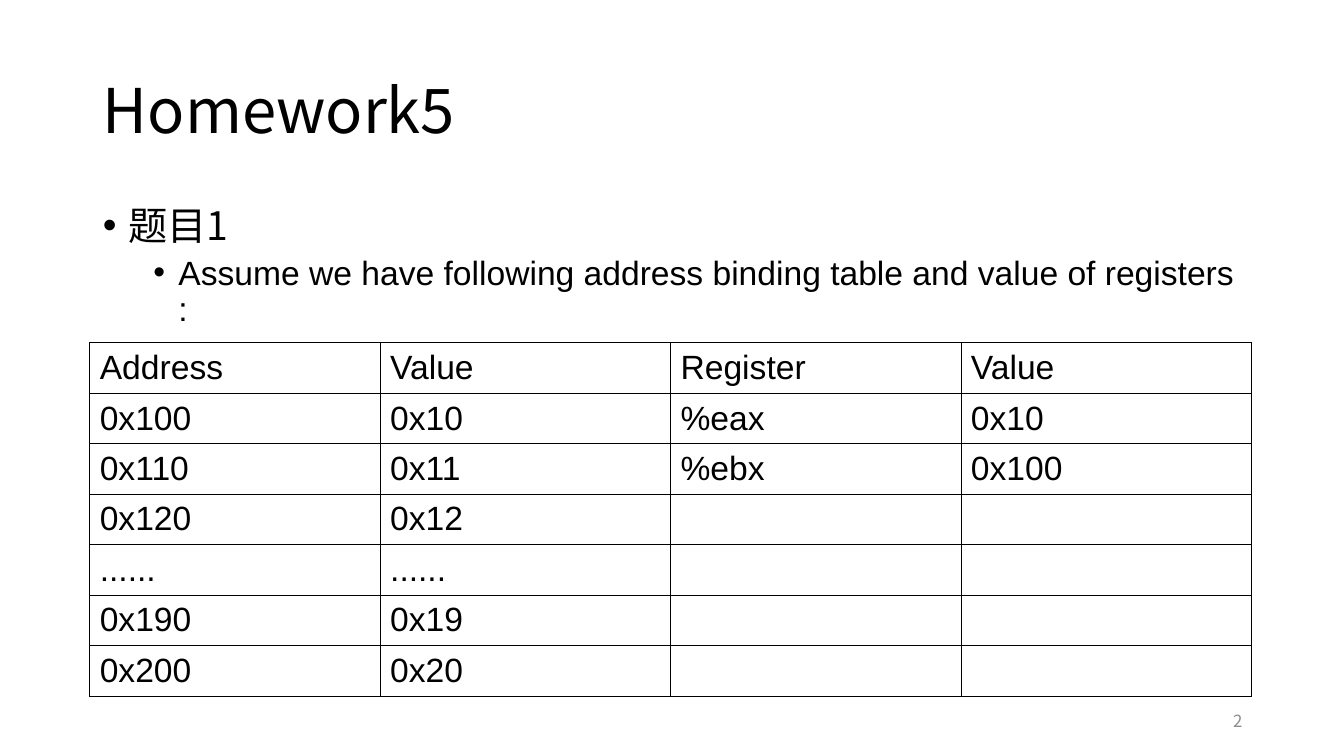
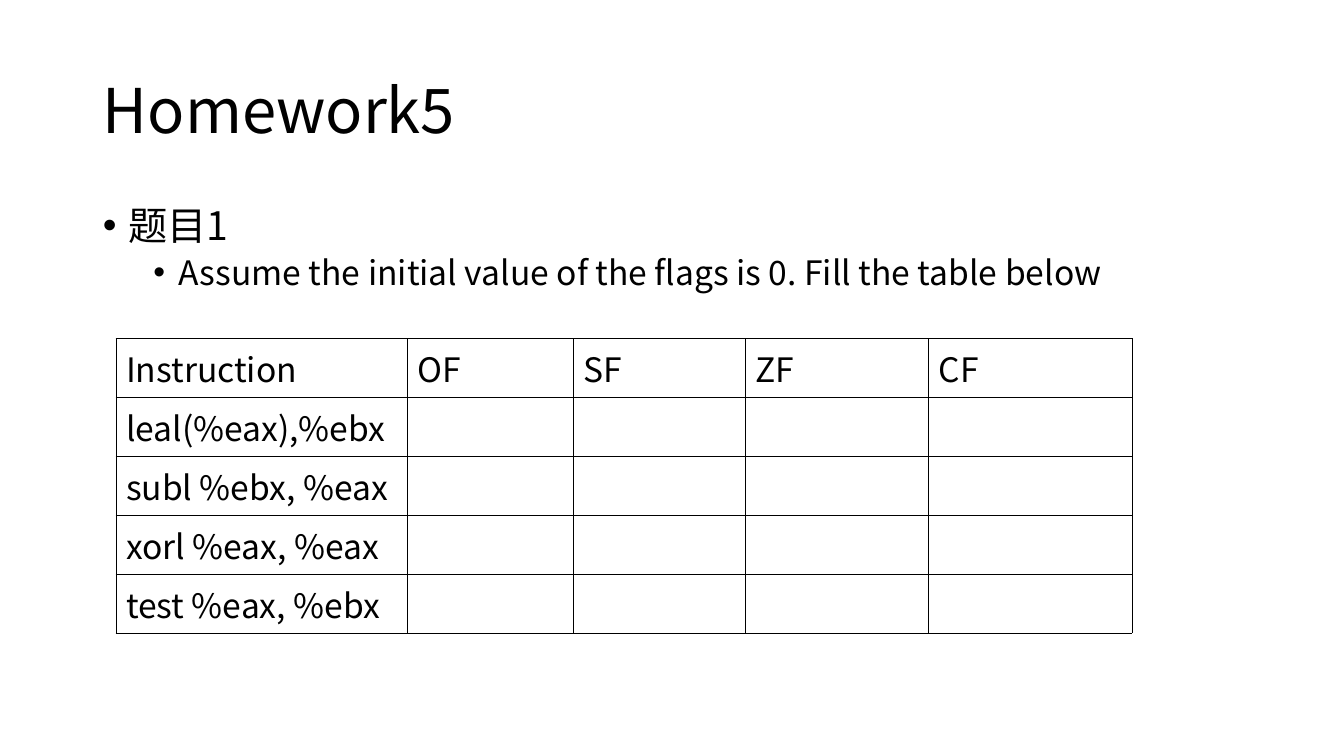
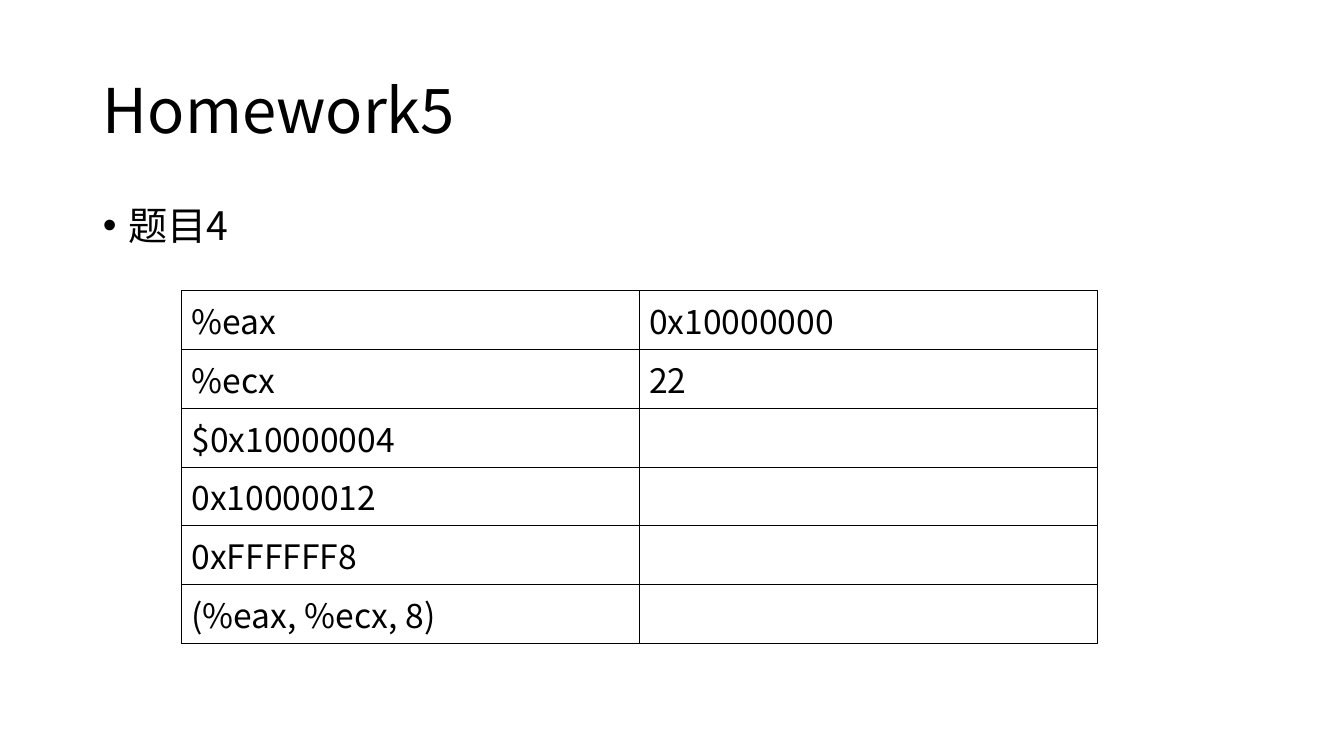
from lxml.etree import SubElement
from pptx import Presentation
from pptx.dml.color import RGBColor
from pptx.enum.text import MSO_ANCHOR, MSO_AUTO_SIZE, PP_ALIGN
from pptx.oxml import parse_xml
from pptx.oxml.ns import nsdecls, qn
from pptx.util import Inches, Pt

COLORS = {"text": "000000", "number": "8C8C8C", "border": "000000"}
SANS, ARIAL = "Noto Sans CJK SC", "Arial"
TITLE_BOX = (0.92, 0.4, 11.5, 1.45)
BODY_BOX = (0.92, 2, 11.5, 4.76)
NUMBER_BOX = (9.42, 6.95, 3, 0.4)
# Per list level: size, space before, left margin
LEVELS = [(28, 10, 0.25), (24, 5, 0.75)]
HANG = 0.25


def add_text(p, text, size=24, font=SANS, color="text", align=PP_ALIGN.LEFT):
    p.alignment = align
    r = p.add_run()
    r.text = text
    r.font.size = Pt(size)
    r.font.name = font
    r.font.color.rgb = RGBColor.from_string(COLORS[color])
    SubElement(r.font._element, qn("a:ea")).set("typeface", font)


def place(sp, box):
    sp.left, sp.top, sp.width, sp.height = map(Inches, box)


def prepare_layout(layout):
    """Fit the title and body of the layout to the wide page."""
    title, body = layout.placeholders[0], layout.placeholders[1]
    for sp, box, anchor in ((title, TITLE_BOX, MSO_ANCHOR.MIDDLE),
                            (body, BODY_BOX, MSO_ANCHOR.TOP)):
        place(sp, box)
        sp.text_frame.vertical_anchor = anchor
        sp.text_frame.auto_size = MSO_AUTO_SIZE.NONE


def add_bullet(p, text, level, font):
    size, before, margin = LEVELS[level]
    p.level = level
    p.line_spacing = 0.9
    p.space_before = Pt(before)
    add_text(p, text, size=size, font=font)
    pPr = p._p.get_or_add_pPr()
    pPr.set("marL", str(Inches(margin)))
    pPr.set("indent", str(-Inches(HANG)))
    SubElement(pPr, qn("a:buFont")).set("typeface", ARIAL)
    SubElement(pPr, qn("a:buChar")).set("char", "•")


def add_exercise(prs, layout, heading, task=None, font=SANS):
    """Slide with the shared title, a heading bullet and an optional task."""
    s = prs.slides.add_slide(layout)
    p = s.shapes.title.text_frame.paragraphs[0]
    p.line_spacing = 0.9
    add_text(p, "Homework5", size=44)
    tf = s.placeholders[1].text_frame
    add_bullet(tf.paragraphs[0], heading, 0, SANS)
    if task:
        add_bullet(tf.add_paragraph(), task, 1, font)
    return s


def add_borders(cell):
    tcPr = cell._tc.get_or_add_tcPr()
    for i, side in enumerate("LRTB"):
        tcPr.insert(i, parse_xml(
            f'<a:ln{side} {nsdecls("a")} w="{Pt(0.48)}"><a:solidFill>'
            f'<a:srgbClr val="{COLORS["border"]}"/></a:solidFill></a:ln{side}>'))


def add_grid(s, left, top, widths, row_height, rows, font=SANS):
    """Bordered table; short rows are filled up with empty cells."""
    table = s.shapes.add_table(
        len(rows), len(widths), Inches(left), Inches(top),
        Inches(sum(widths)), Inches(row_height * len(rows))).table
    table.first_row = table.horz_banding = False
    for column, width in zip(table.columns, widths):
        column.width = Inches(width)
    for i, values in enumerate(rows):
        table.rows[i].height = Inches(row_height)
        for j in range(len(widths)):
            cell = table.cell(i, j)
            cell.vertical_anchor = MSO_ANCHOR.MIDDLE
            cell.fill.background()
            add_borders(cell)
            if j < len(values):
                add_text(cell.text_frame.paragraphs[0], values[j], font=font)


def add_number(s, number):
    tf = s.shapes.add_textbox(*map(Inches, NUMBER_BOX)).text_frame
    tf.word_wrap = True
    tf.vertical_anchor = MSO_ANCHOR.MIDDLE
    add_text(tf.paragraphs[0], number, size=12, color="number",
             align=PP_ALIGN.RIGHT)


def main():
    prs = Presentation()
    prs.slide_width, prs.slide_height = Inches(13.33), Inches(7.5)
    layout = prs.slide_layouts[1]
    prepare_layout(layout)

    # Memory and register values
    s = add_exercise(
        prs, layout, "题目1",
        "Assume we have following address binding table and value of registers :",
        font=ARIAL)
    add_number(s, "2")
    add_grid(s, 0.89, 3.4, [2.88] * 4, 0.47, [
        ["Address", "Value", "Register", "Value"],
        ["0x100", "0x10", "%eax", "0x10"],
        ["0x110", "0x11", "%ebx", "0x100"],
        ["0x120", "0x12"],
        ["......", "......"],
        ["0x190", "0x19"],
        ["0x200", "0x20"],
    ], font=ARIAL)

    # Condition flags
    s = add_exercise(
        prs, layout, "题目1",
        "Assume the initial value of the flags is 0. Fill the table below")
    add_grid(s, 1.15, 3.36, [2.89, 1.65, 1.7, 1.82, 2.02], 0.58, [
        ["Instruction", "OF", "SF", "ZF", "CF"],
        ["leal(%eax),%ebx"],
        ["subl %ebx, %eax"],
        ["xorl %eax, %eax"],
        ["test %eax, %ebx"],
    ])

    # Operand values
    s = add_exercise(prs, layout, "题目4")
    add_grid(s, 1.8, 2.88, [4.54] * 2, 0.58, [
        ["%eax", "0x10000000"],
        ["%ecx", "22"],
        ["$0x10000004"],
        ["0x10000012"],
        ["0xFFFFFF8"],
        ["(%eax, %ecx, 8)"],
    ])

    prs.save("out.pptx")


if __name__ == "__main__":
    main()
